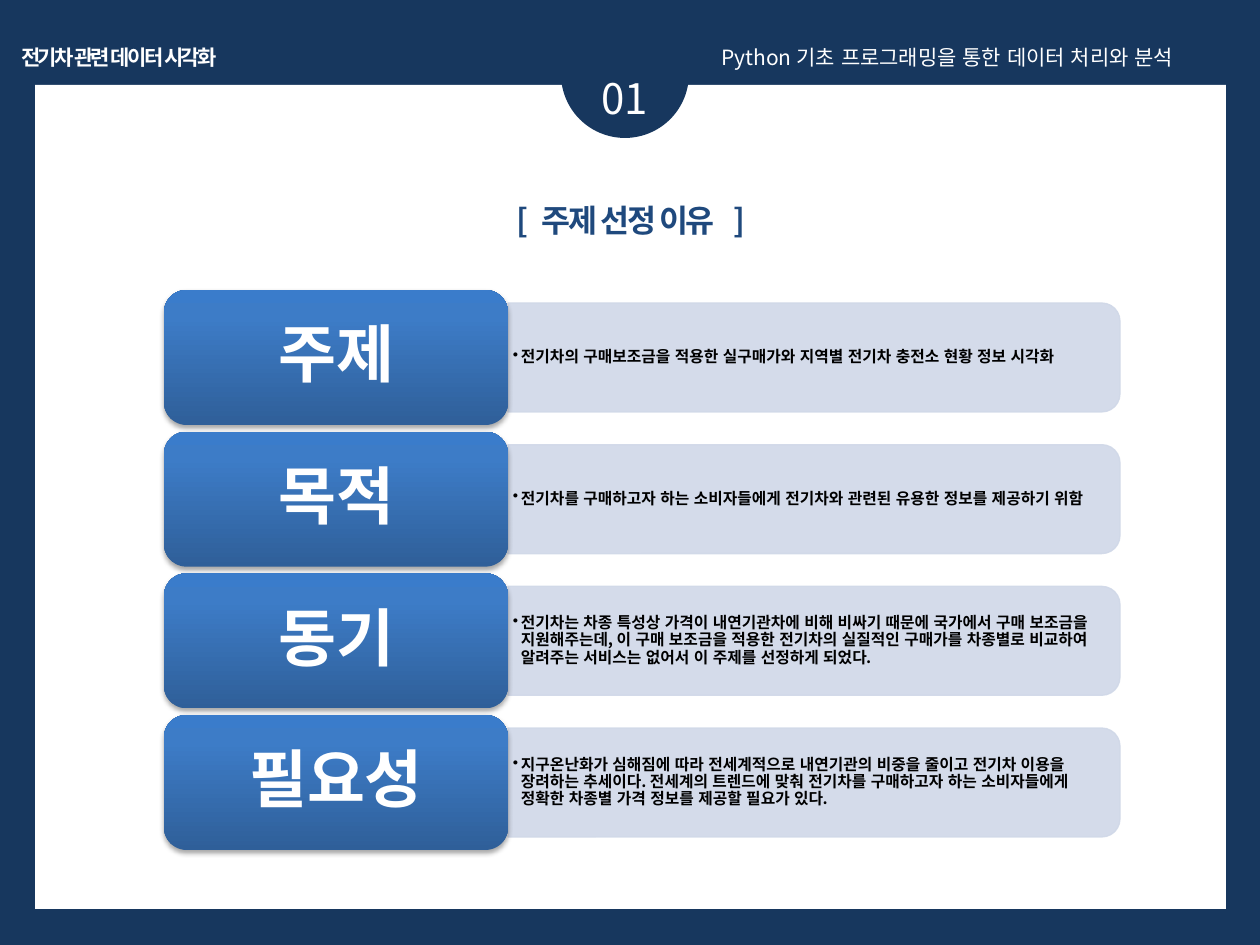
from lxml import etree
from pptx import Presentation
from pptx import util as u
from pptx.dml.color import RGBColor
from pptx.enum import shapes, text
from pptx.oxml import parse_xml
from pptx.oxml.ns import qn

# Content
COURSE = "Python 기초 프로그래밍을 통한 데이터 처리와 분석"
PROJECT = "전기차 관련 데이터 시각화"
NUMBER = "01"
TITLE = "[   주제 선정 이유   ]"
REASONS = [
    ("주제", "전기차의 구매보조금을 적용한 실구매가와 지역별 전기차 충전소 현황 정보 시각화"),
    ("목적", "전기차를 구매하고자 하는 소비자들에게 전기차와 관련된 유용한 정보를 제공하기 위함"),
    ("동기", "전기차는 차종 특성상 가격이 내연기관차에 비해 비싸기 때문에 국가에서 구매 보조금을 "
             "지원해주는데, 이 구매 보조금을 적용한 전기차의 실질적인 구매가를 차종별로 비교하여 "
             "알려주는 서비스는 없어서 이 주제를 선정하게 되었다."),
    ("필요성", "지구온난화가 심해짐에 따라 전세계적으로 내연기관의 비중을 줄이고 전기차 이용을 "
               "장려하는 추세이다. 전세계의 트렌드에 맞춰 전기차를 구매하고자 하는 소비자들에게 "
               "정확한 차종별 가격 정보를 제공할 필요가 있다."),
]

# Style
FONT = "Noto Sans CJK KR"
NAVY = RGBColor(0x17, 0x37, 0x5E)
BLUE = RGBColor(0x1F, 0x49, 0x7D)
PALE = RGBColor(0xD0, 0xD8, 0xE8)
WHITE = RGBColor(0xFF, 0xFF, 0xFF)
BLACK = RGBColor(0, 0, 0)
CARD_STOPS = [(0, "2F5F99"), (80, "3D7CC7"), (100, "3A7CCB")]
DRAWING = 'xmlns:a="http://schemas.openxmlformats.org/drawingml/2006/main"'

# Rows, in px
ROW_TOP, LAST_TOP = 290, 715
CARD_LEFT, CARD_WIDTH, CARD_HEIGHT = 164, 344, 135
BAR_WIDTH, BAR_HEIGHT = 612, 109
NOTE_WIDTH, NOTE_HEIGHT = 606, 97


def px(length):
    return u.Emu(round(length * 914400 / 126))


def add_shape(page, kind, left, top, width, height, fill=None):
    shape = page.shapes.add_shape(kind, px(left), px(top), px(width), px(height))
    shape.shadow.inherit = False
    shape.line.fill.background()
    if fill is not None:
        shape.fill.solid()
        shape.fill.fore_color.rgb = fill
    return shape


def add_box(page, left, top, width, height):
    return page.shapes.add_textbox(px(left), px(top), px(width), px(height))


def write(box, words, size, color, align=None, bold=False, tight=False,
          anchor=text.MSO_ANCHOR.TOP, margins=None, wrap=True, grow=False):
    frame = box.text_frame
    frame.word_wrap = wrap
    frame.vertical_anchor = anchor
    if grow:
        frame.auto_size = text.MSO_AUTO_SIZE.SHAPE_TO_FIT_TEXT
    if margins:
        side, edge = margins
        frame.margin_left = frame.margin_right = px(side)
        frame.margin_top = frame.margin_bottom = px(edge)
    para = frame.paragraphs[0]
    para.alignment = align
    span = para.add_run()
    span.text = words
    span.font.size = u.Pt(size)
    span.font.bold = bold
    span.font.color.rgb = color
    span.font.name = FONT
    properties = span.font._element
    properties.set("lang", "ko-KR")
    if tight:
        properties.set("spc", "-150")
    etree.SubElement(properties, qn("a:ea")).set("typeface", FONT)
    return para


def set_translucent(color_format):
    color = color_format._xFill.find(qn("a:srgbClr"))
    etree.SubElement(color, qn("a:alpha")).set("val", "90000")


def add_bar(page, left, top):
    # Turned a quarter, so that the rounded end points right
    shift = (BAR_WIDTH - BAR_HEIGHT) / 2
    bar = add_shape(page, shapes.MSO_SHAPE.ROUND_2_SAME_RECTANGLE,
                    left + shift, top - shift, BAR_HEIGHT, BAR_WIDTH, PALE)
    bar.rotation = 90
    bar.line.color.rgb = PALE
    bar.line.width = u.Pt(0.75)
    for color in bar._element.spPr.iter(qn("a:srgbClr")):
        etree.SubElement(color, qn("a:alpha")).set("val", "90000")


def add_note(page, words, left, top):
    box = add_box(page, left, top, NOTE_WIDTH, NOTE_HEIGHT)
    para = write(box, words, 9, BLACK, bold=True,
                 anchor=text.MSO_ANCHOR.MIDDLE, margins=(5, 3))
    para.level = 1
    para.line_spacing = 0.9
    properties = para._p.get_or_add_pPr()
    properties.set("marL", str(px(8)))
    properties.set("indent", str(-px(8)))
    etree.SubElement(properties, qn("a:buChar")).set("char", "•")


def add_card(page, words, top):
    card = add_shape(page, shapes.MSO_SHAPE.ROUNDED_RECTANGLE,
                     CARD_LEFT, top, CARD_WIDTH, CARD_HEIGHT)
    stops = "".join(f'<a:gs pos="{place * 1000}"><a:srgbClr val="{color}"/></a:gs>'
                    for place, color in CARD_STOPS)
    properties = card._element.spPr
    properties.find(qn("a:prstGeom")).addnext(parse_xml(
        f'<a:gradFill {DRAWING} rotWithShape="1"><a:gsLst>{stops}</a:gsLst>'
        '<a:lin ang="16200000" scaled="0"/></a:gradFill>'))
    properties.find(qn("a:effectLst")).append(parse_xml(
        f'<a:outerShdw {DRAWING} blurRad="{u.Pt(3.1)}" dist="{u.Pt(1.8)}" dir="5400000" '
        'rotWithShape="0"><a:srgbClr val="000000"><a:alpha val="35000"/></a:srgbClr>'
        '</a:outerShdw>'))
    para = write(card, words, 36, WHITE, text.PP_ALIGN.CENTER, bold=True,
                 anchor=text.MSO_ANCHOR.MIDDLE, margins=(19, 9))
    para.line_spacing = 0.9


def main():
    deck = Presentation()
    deck.slide_width, deck.slide_height = px(1260), px(945)
    page = deck.slides.add_slide(deck.slide_layouts[5])
    page.background.fill.solid()
    page.background.fill.fore_color.rgb = NAVY

    # White panel with the number tab
    add_shape(page, shapes.MSO_SHAPE.RECTANGLE, 35, 85, 1191, 824, WHITE)
    add_shape(page, shapes.MSO_SHAPE.OVAL, 561, 10, 128, 128, NAVY)
    write(add_box(page, 550, 66, 149, 63), NUMBER, 24, WHITE,
          text.PP_ALIGN.CENTER, grow=True)

    # Title, brought in front of the panel
    title = page.shapes.title
    title.left, title.top, title.width, title.height = px(343), px(195), px(576), px(50)
    write(title, TITLE, 18, BLUE, text.PP_ALIGN.CENTER, bold=True, tight=True, grow=True)
    title.element.getparent().append(title.element)

    # One row for each reason
    pitch = (LAST_TOP - ROW_TOP) / (len(REASONS) - 1)
    bar_left = CARD_LEFT + CARD_WIDTH
    for index, (label, note) in enumerate(REASONS):
        top = ROW_TOP + index * pitch
        add_bar(page, bar_left, top + (CARD_HEIGHT - BAR_HEIGHT) / 2)
        add_note(page, note, bar_left, top + (CARD_HEIGHT - NOTE_HEIGHT) / 2)
        add_card(page, label, top)

    # Header line
    write(add_box(page, -3, 38, 244, 38), PROJECT, 12, WHITE, text.PP_ALIGN.CENTER,
          bold=True, tight=True, wrap=False, grow=True)
    write(add_box(page, 709, 38, 525, 38), COURSE, 12, WHITE,
          text.PP_ALIGN.JUSTIFY, grow=True)

    deck.save("out.pptx")


if __name__ == "__main__":
    main()
